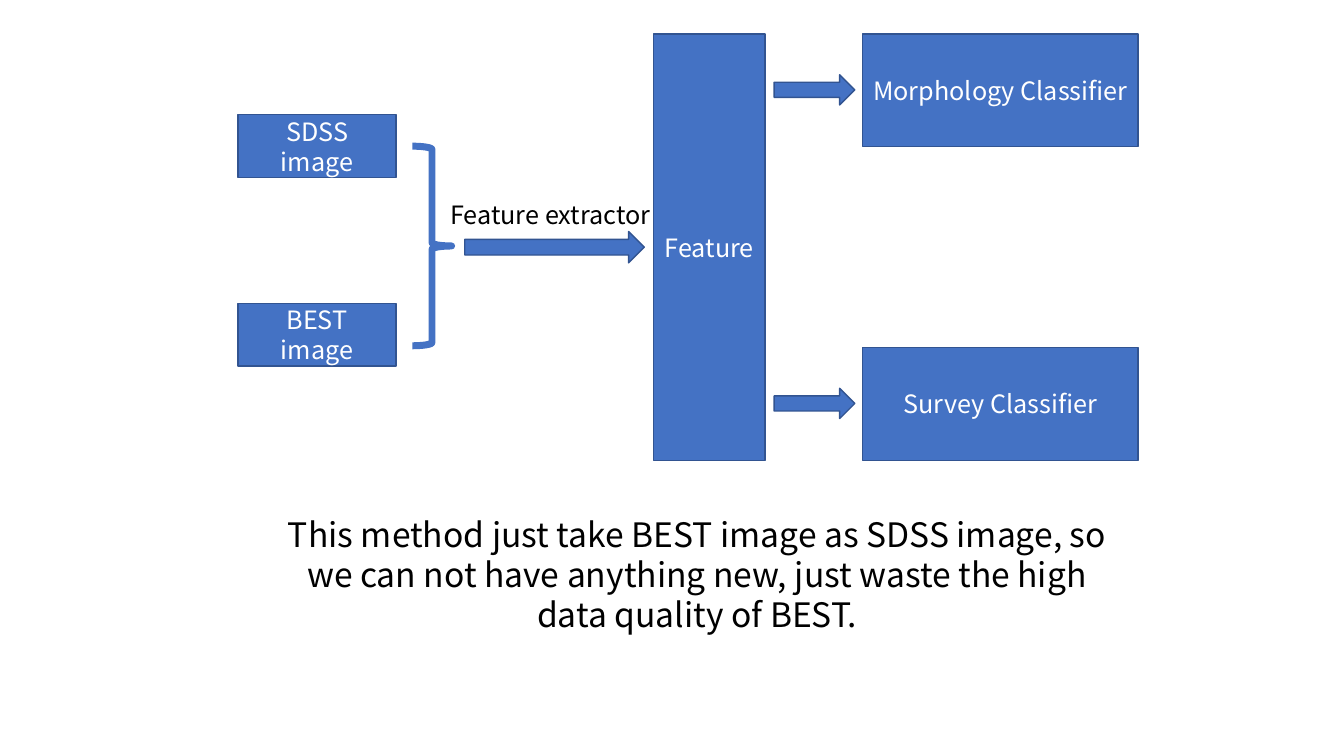
from pptx import Presentation
from pptx.dml.color import RGBColor
from pptx.enum.shapes import MSO_SHAPE
from pptx.enum.text import MSO_ANCHOR, PP_ALIGN
from pptx.util import Pt

RECTANGLE = MSO_SHAPE.RECTANGLE
RIGHT_ARROW = MSO_SHAPE.RIGHT_ARROW
RIGHT_BRACE = MSO_SHAPE.RIGHT_BRACE
MIDDLE = MSO_ANCHOR.MIDDLE
CENTER = PP_ALIGN.CENTER

BLUE = RGBColor(0x44, 0x72, 0xC4)
DARK_BLUE = RGBColor(0x32, 0x54, 0x91)
WHITE = RGBColor(0xFF, 0xFF, 0xFF)
BLACK = RGBColor(0x00, 0x00, 0x00)
FONT = "Noto Sans CJK SC"
LINE_HEIGHT = 1.19


def write(frame, text, size, color):
    frame.word_wrap = True
    frame.text = text
    paragraph = frame.paragraphs[0]
    paragraph.alignment = CENTER
    paragraph.line_spacing = Pt(size * LINE_HEIGHT)
    font = paragraph.runs[0].font
    font.name = FONT
    font.size = Pt(size)
    font.color.rgb = color


def add_block(slide, kind, left, top, width, height):
    block = slide.shapes.add_shape(kind, Pt(left), Pt(top), Pt(width), Pt(height))
    block.shadow.inherit = False
    block.fill.solid()
    block.fill.fore_color.rgb = BLUE
    block.line.color.rgb = DARK_BLUE
    block.line.width = Pt(1)
    return block


def add_box(slide, text, left, top, width, height):
    box = add_block(slide, RECTANGLE, left, top, width, height)
    box.text_frame.vertical_anchor = MIDDLE
    write(box.text_frame, text, 18, WHITE)


def add_brace(slide, left, top, width, height):
    brace = add_block(slide, RIGHT_BRACE, left, top, width, height)
    brace.fill.background()
    brace.line.color.rgb = BLUE
    brace.line.width = Pt(5)


def add_label(slide, text, size, left, top, width, height):
    label = slide.shapes.add_textbox(Pt(left), Pt(top), Pt(width), Pt(height))
    write(label.text_frame, text, size, BLACK)


def main():
    presentation = Presentation()
    presentation.slide_width = Pt(960)
    presentation.slide_height = Pt(540)
    slide = presentation.slides.add_slide(presentation.slide_layouts[6])

    for survey, top in (("SDSS", 82), ("BEST", 216.8)):
        add_box(slide, f"{survey} image", 170, top, 113, 44.8)

    add_box(slide, "Feature", 467, 24.2, 79.4, 304.6)
    add_brace(slide, 294.6, 104.4, 28, 142.6)
    add_block(slide, RIGHT_ARROW, 332, 165.4, 128.2, 22.4)
    add_label(slide, "Feature extractor", 18, 304.6, 139, 177, 28.8)

    for task, top in (("Morphology", 24.2), ("Survey", 248.2)):
        add_box(slide, f"{task} Classifier", 616.2, top, 196.8, 80.6)
        add_block(slide, RIGHT_ARROW, 553, top + 29.2, 57.6, 21.6)

    conclusion = (
        "This method just take BEST image as SDSS image, so we can not have "
        "anything new, just waste the high data quality of BEST."
    )
    add_label(slide, conclusion, 24, 190, 363.6, 615.6, 152.6)

    presentation.save("out.pptx")


if __name__ == "__main__":
    main()
